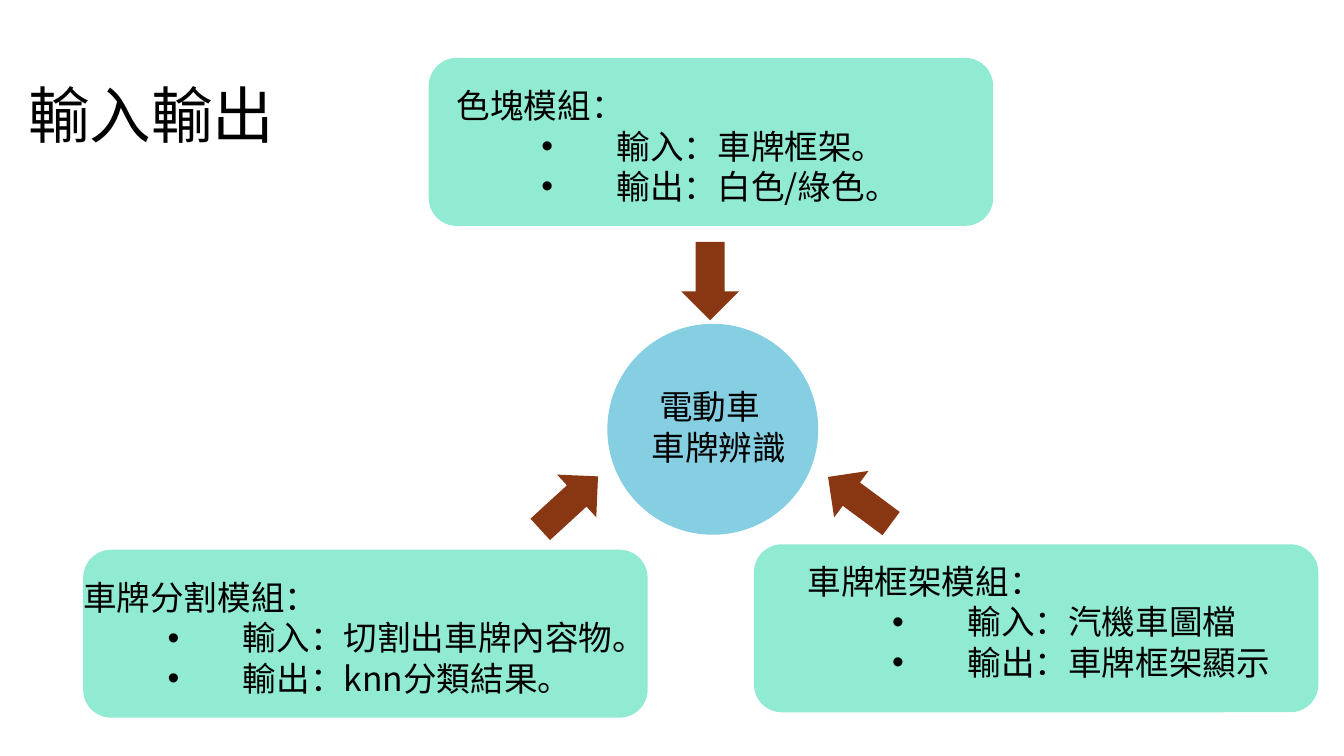
"""Build the slide on inputs and outputs of the licence plate modules."""
from lxml import etree
from pptx import Presentation
from pptx.dml.color import RGBColor
from pptx.enum.shapes import MSO_SHAPE
from pptx.enum.text import MSO_ANCHOR, MSO_AUTO_SIZE, PP_ALIGN
from pptx.oxml.ns import qn
from pptx.util import Pt

ROUNDED = MSO_SHAPE.ROUNDED_RECTANGLE
OVAL = MSO_SHAPE.OVAL
DOWN_ARROW = MSO_SHAPE.DOWN_ARROW
MIDDLE, TOP = MSO_ANCHOR.MIDDLE, MSO_ANCHOR.TOP
LEFT = PP_ALIGN.LEFT
NO_RESIZE = MSO_AUTO_SIZE.NONE

BLACK = RGBColor(0x00, 0x00, 0x00)
MINT = RGBColor(0x91, 0xEA, 0xD2)
SKY = RGBColor(0x86, 0xCF, 0xE2)
BROWN = RGBColor(0x89, 0x37, 0x13)
FONT = "Noto Sans CJK SC"

MODULE_SIZE = (302.4, 90)
ARROW_SIZE = (31, 42)
MODULES = [
    ((403.9, 291.6), (425.5, 295.2, 360, 90),
     ["車牌框架模組：", "輸入：汽機車圖檔", "輸出：車牌框架顯示"]),
    ((44.6, 294.5), (37.4, 303.8, 366.5, 73),
     ["車牌分割模組：", "輸入：切割出車牌內容物。", "輸出：knn分類結果。"]),
    ((229.7, 31), (237.6, 40.3, 286.6, 90),
     ["色塊模組：", "輸入：車牌框架。", "輸出：白色/綠色。"]),
]
ARROWS = [((365, 129.6), 0), ((289.4, 248.4), 227.5), ((445, 247), 126.5)]


def add_filled(slide, kind, position, size, color, rotation=0):
    """Add a preset shape with a plain fill and no outline."""
    shape = slide.shapes.add_shape(kind, *map(Pt, (*position, *size)))
    shape.shadow.inherit = False
    shape.fill.solid()
    shape.fill.fore_color.rgb = color
    shape.line.fill.background()
    shape.rotation = rotation


def make_bullet(paragraph):
    """Turn a paragraph into an indented bullet."""
    paragraph.level = 4
    properties = paragraph._p.get_or_add_pPr()
    properties.set("marL", str(Pt(85.7)))
    properties.set("indent", str(Pt(-40.3)))
    etree.SubElement(properties, qn("a:buFont"), typeface="Arial")
    etree.SubElement(properties, qn("a:buChar"), char="•")


def write_text(shape, lines, size=18, spacing=Pt(21.7), anchor=TOP,
               top_margin=5.1, bulleted=False):
    """Write lines into a shape, bulleting all but the first on request."""
    frame = shape.text_frame
    frame.word_wrap = True
    frame.auto_size = NO_RESIZE
    frame.vertical_anchor = anchor
    frame.margin_top = Pt(top_margin)
    for index, line in enumerate(lines):
        paragraph = frame.add_paragraph() if index else frame.paragraphs[0]
        if bulleted and index:
            make_bullet(paragraph)
        paragraph.alignment = LEFT
        paragraph.line_spacing = spacing
        run = paragraph.add_run()
        run.text = line
        run.font.size = Pt(size)
        run.font.color.rgb = BLACK
        run.font.name = FONT
        etree.SubElement(run.font._element, qn("a:ea"), typeface=FONT)


def add_text(slide, bounds, lines, **style):
    """Add a text box holding the given lines."""
    write_text(slide.shapes.add_textbox(*map(Pt, bounds)), lines, **style)


def add_title(slide, text):
    """Place and fill the title placeholder."""
    title = slide.shapes.title
    title.left, title.top, title.width, title.height = map(
        Pt, (7.9, 6.5, 792, 114.5))
    write_text(title, [text], size=33, spacing=0.9, anchor=MIDDLE,
               top_margin=3.6)


def main():
    """Assemble and save the slide."""
    presentation = Presentation()
    presentation.slide_width = Pt(720)
    presentation.slide_height = Pt(405)
    slide = presentation.slides.add_slide(presentation.slide_layouts[5])
    add_title(slide, "輸入輸出")
    for position, text_bounds, lines in MODULES:
        add_filled(slide, ROUNDED, position, MODULE_SIZE, MINT)
        add_text(slide, text_bounds, lines, bulleted=True)
    add_filled(slide, OVAL, (325.4, 173.5), (113, 113), SKY)
    add_text(slide, (342, 201.6, 92.2, 43.2), [" 電動車", "車牌辨識"])
    for position, rotation in ARROWS:
        add_filled(slide, DOWN_ARROW, position, ARROW_SIZE, BROWN, rotation)
    presentation.save("out.pptx")


if __name__ == "__main__":
    main()
